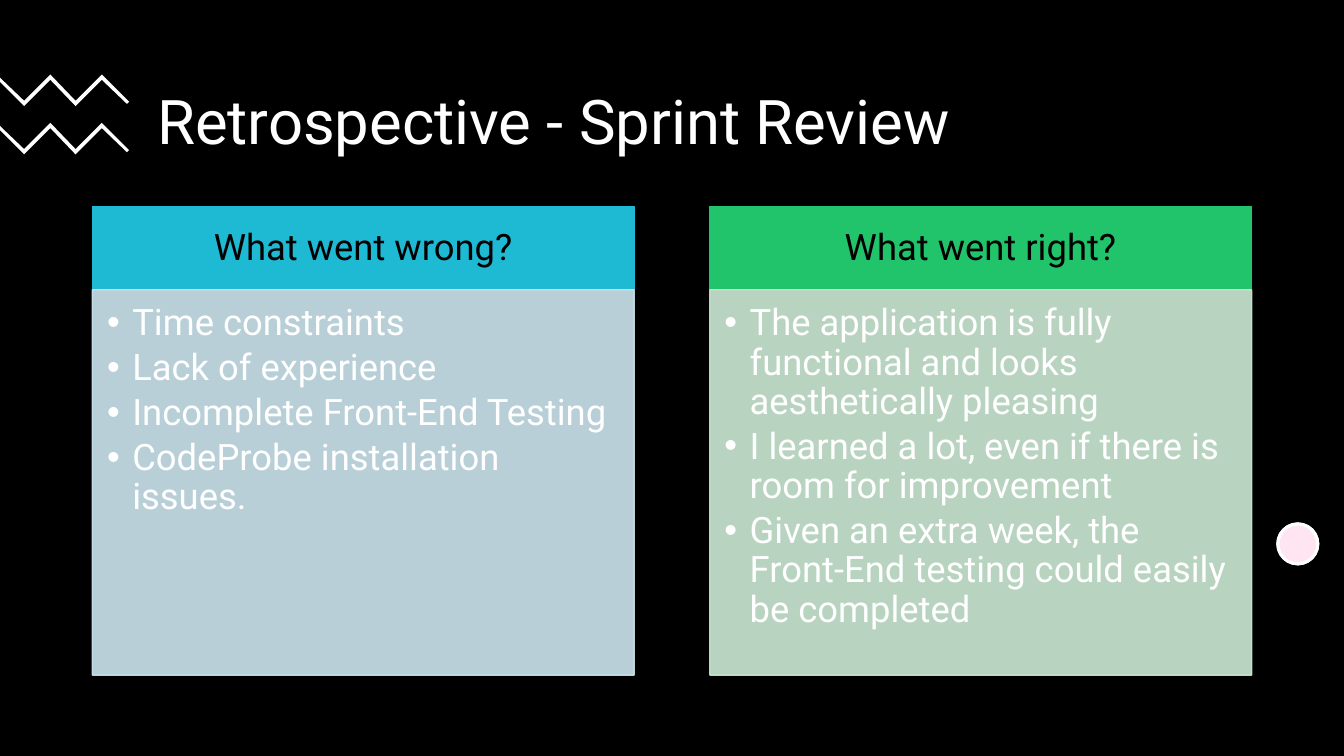
from pptx import Presentation
from pptx.dml.color import RGBColor
from pptx.enum.shapes import MSO_SHAPE
from pptx.enum.text import MSO_ANCHOR, MSO_AUTO_SIZE, PP_ALIGN
from pptx.oxml.ns import qn
from pptx.util import Pt
from lxml.etree import SubElement

PX = 9525
BLACK = RGBColor(0x00, 0x00, 0x00)
WHITE = RGBColor(0xFF, 0xFF, 0xFF)
PINK = RGBColor(0xFF, 0x80, 0xBD)
CYAN = RGBColor(0x1E, 0xB9, 0xD3)
PALE_CYAN = RGBColor(0xCD, 0xE6, 0xEF)
GREEN = RGBColor(0x21, 0xC4, 0x6B)
PALE_GREEN = RGBColor(0xCD, 0xEA, 0xD4)

ZIGZAG = [(48, 0), (72, 25), (97, 0), (123, 26), (121, 28), (97, 5),
          (72, 30), (48, 5), (23, 30), (0, 7), (0, 3), (23, 25)]
ZIGZAG_TOPS = (71, 117)

CARDS = [
    (88, "What went wrong?", CYAN, PALE_CYAN,
     ["Time constraints",
      "Lack of experience",
      "Incomplete Front-End Testing",
      "CodeProbe installation issues."]),
    (676, "What went right?", GREEN, PALE_GREEN,
     ["The application is fully functional and looks aesthetically pleasing",
      "I learned a lot, even if there is room for improvement",
      "Given an extra week, the Front-End testing could easily be completed"]),
]


class RetrospectiveSlide:
    font = "Roboto"
    title_size = 44
    card_size = 26
    line_spacing = 0.9

    def __init__(self, deck):
        self.slide = deck.slides.add_slide(deck.slide_layouts[5])
        background = self.slide.background.fill
        background.solid()
        background.fore_color.rgb = BLACK

    def style_text(self, frame, size, colour, align, anchor):
        frame.word_wrap = True
        frame.auto_size = MSO_AUTO_SIZE.NONE
        frame.vertical_anchor = anchor
        for paragraph in frame.paragraphs:
            paragraph.alignment = align
            paragraph.line_spacing = self.line_spacing
            for run in paragraph.runs:
                run.font.name = self.font
                run.font.size = Pt(size)
                run.font.color.rgb = colour

    def inset(self, frame, left, top, right, bottom):
        frame.margin_left, frame.margin_top = left * PX, top * PX
        frame.margin_right, frame.margin_bottom = right * PX, bottom * PX

    def title(self, text, x, y, w, h):
        title = self.slide.shapes.title
        title.left, title.top, title.width, title.height = (v * PX for v in (x, y, w, h))
        title.text_frame.text = text
        self.style_text(title.text_frame, self.title_size, WHITE, PP_ALIGN.LEFT, MSO_ANCHOR.MIDDLE)

    def shape(self, kind, x, y, w, h, fill, line, line_width, alpha=100, line_alpha=100):
        shape = self.slide.shapes.add_shape(kind, x * PX, y * PX, w * PX, h * PX)
        shape.shadow.inherit = False
        shape.fill.solid()
        shape.fill.fore_color.rgb = fill
        shape.line.color.rgb = line
        shape.line.width = Pt(line_width)
        for location, percent in (("a:solidFill", alpha), ("a:ln/a:solidFill", line_alpha)):
            if percent < 100:
                colour = shape.element.spPr.xpath(f"./{location}/a:srgbClr")[0]
                SubElement(colour, qn("a:alpha"), val=str(percent * 1000))
        return shape

    def zigzag(self, top):
        points = [(x, y + top) for x, y in ZIGZAG]
        builder = self.slide.shapes.build_freeform(*points[0], scale=PX)
        builder.add_line_segments(points[1:], close=True)
        band = builder.convert_to_shape()
        band.shadow.inherit = False
        band.fill.solid()
        band.fill.fore_color.rgb = WHITE
        band.line.fill.background()

    def dot(self, x, y, size):
        for colour, alpha in ((WHITE, 100), (PINK, 20)):
            self.shape(MSO_SHAPE.OVAL, x, y, size, size, colour, WHITE, 2.25, alpha)

    def bullet(self, paragraph):
        properties = paragraph._p.get_or_add_pPr()
        properties.set("marL", str(24 * PX))
        properties.set("indent", str(-24 * PX))
        SubElement(properties, qn("a:buFont"), typeface="Arial")
        SubElement(properties, qn("a:buChar"), char="•")

    def card(self, x, heading, strong, pale, points):
        header = self.shape(MSO_SHAPE.RECTANGLE, x, 197, 516, 79, strong, strong, 1)
        header.text_frame.text = heading
        self.inset(header.text_frame, 19, 12, 19, 12)
        self.style_text(header.text_frame, self.card_size, BLACK, PP_ALIGN.CENTER, MSO_ANCHOR.MIDDLE)

        body = self.shape(MSO_SHAPE.RECTANGLE, x, 276, 516, 367, pale, pale, 1, 90, 90)
        body.text_frame.text = "\n".join(points)
        self.inset(body.text_frame, 14, 14, 19, 22)
        self.style_text(body.text_frame, self.card_size, WHITE, PP_ALIGN.LEFT, MSO_ANCHOR.TOP)
        for paragraph in body.text_frame.paragraphs:
            paragraph.space_after = Pt(4)
            self.bullet(paragraph)


def main():
    deck = Presentation()
    deck.slide_width, deck.slide_height = 1280 * PX, 720 * PX
    retrospective = RetrospectiveSlide(deck)
    retrospective.title("Retrospective - Sprint Review", 140, 60, 1023, 118)
    for top in ZIGZAG_TOPS:
        retrospective.zigzag(top)
    retrospective.dot(1217, 499, 38)
    for card in CARDS:
        retrospective.card(*card)
    deck.save("out.pptx")


if __name__ == "__main__":
    main()
